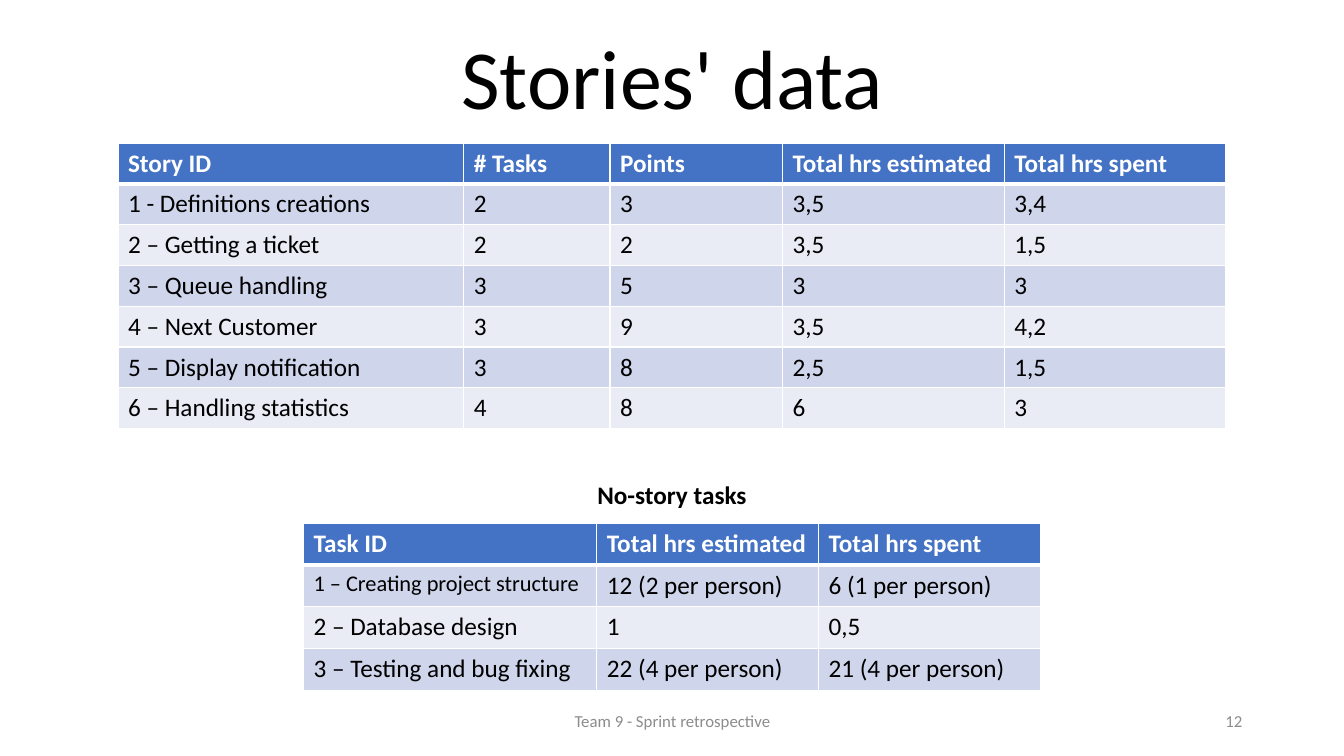
from lxml.etree import SubElement
from pptx import Presentation
from pptx.dml.color import RGBColor
from pptx.enum.text import MSO_ANCHOR, MSO_AUTO_SIZE, PP_ALIGN
from pptx.oxml.ns import qn
from pptx.util import Inches, Pt

BLACK = RGBColor(0x00, 0x00, 0x00)
WHITE = RGBColor(0xFF, 0xFF, 0xFF)
GRAY = RGBColor(0x8C, 0x8C, 0x8C)
BLUE = RGBColor(0x44, 0x72, 0xC4)
BANDS = (RGBColor(0xE9, 0xEB, 0xF5), RGBColor(0xCF, 0xD5, 0xEA))

WIDE, HIGH = Inches(13.33), Inches(7.5)
FACE = "Calibri"

HOURS = ("Total hrs estimated", "Total hrs spent")
STORIES = (
    ("Story ID", "# Tasks", "Points", *HOURS),
    ("1 - Definitions creations", "2", "3", "3,5", "3,4"),
    ("2 – Getting a ticket", "2", "2", "3,5", "1,5"),
    ("3 – Queue handling", "3", "5", "3", "3"),
    ("4 – Next Customer", "3", "9", "3,5", "4,2"),
    ("5 – Display notification", "3", "8", "2,5", "1,5"),
    ("6 – Handling statistics", "4", "8", "6", "3"),
)
TASKS = (
    ("Task ID", *HOURS),
    ("1 – Creating project structure", "12 (2 per person)", "6 (1 per person)"),
    ("2 – Database design", "1", "0,5"),
    ("3 – Testing and bug fixing", "22 (4 per person)", "21 (4 per person)"),
)


def place(box):
    """Turn a box in percent of the slide into lengths."""
    return [int(part * side / 100) for part, side in zip(box, (WIDE, HIGH) * 2)]


def style(para, size, color, bold=False):
    """Set the font of a paragraph."""
    font = para.font
    font.name, font.size, font.bold = FACE, Pt(size), bold
    font.color.rgb = color


def title(slide, box, text):
    """Fill and move the title placeholder."""
    shape = slide.shapes.title
    shape.left, shape.top, shape.width, shape.height = place(box)
    frame = shape.text_frame
    frame.text = text
    frame.word_wrap = True
    frame.auto_size = MSO_AUTO_SIZE.SHAPE_TO_FIT_TEXT
    frame.vertical_anchor = MSO_ANCHOR.TOP
    para = frame.paragraphs[0]
    para.alignment, para.line_spacing = PP_ALIGN.CENTER, 0.9
    style(para, 60, BLACK)


def label(slide, box, text, size, color, align=PP_ALIGN.CENTER, bold=False,
          anchor=MSO_ANCHOR.MIDDLE):
    """Add a single line of text."""
    frame = slide.shapes.add_textbox(*place(box)).text_frame
    frame.word_wrap = True
    frame.vertical_anchor = anchor
    frame.text = text
    para = frame.paragraphs[0]
    para.alignment = align
    style(para, size, color, bold)


def border(cell, row):
    """Draw white cell edges, thick below the header."""
    props = cell._tc.get_or_add_tcPr()
    for side in "LRTB":
        thick = (side, row) in (("B", 0), ("T", 1))
        line = SubElement(props, qn(f"a:ln{side}"), w=str(Pt(3 if thick else 1)))
        fill = SubElement(line, qn("a:solidFill"))
        SubElement(fill, qn("a:srgbClr"), val=str(WHITE))


def grid(slide, box, shares, data, small=()):
    """Add a banded table whose column shares are percent of the slide."""
    shape = slide.shapes.add_table(len(data), len(shares), *place(box))
    table = shape.table
    for column, share in zip(table.columns, shares):
        column.width = int(WIDE * share / 100)
    for row, texts in enumerate(data):
        head = row == 0
        for col, text in enumerate(texts):
            cell = table.cell(row, col)
            border(cell, row)
            cell.fill.solid()
            cell.fill.fore_color.rgb = BLUE if head else BANDS[row % 2]
            cell.text = text
            style(cell.text_frame.paragraphs[0],
                  16 if (row, col) in small else 18,
                  WHITE if head else BLACK, head)


def footer(slide, top, text, number):
    """Add the footer text and the slide number."""
    label(slide, (33.16, top, 33.76, 5.33), text, 12, GRAY)
    label(slide, (70.67, top, 22.5, 5.33), number, 12, GRAY, PP_ALIGN.RIGHT)


def build():
    """Build the slide and save it."""
    deck = Presentation()
    deck.slide_width, deck.slide_height = WIDE, HIGH
    slide = deck.slides.add_slide(deck.slide_layouts[5])
    grid(slide, (22.58, 69.2, 54.84, 22.13), (21.83, 16.5, 16.5), TASKS, {(1, 0)})
    grid(slide, (8.78, 18.93, 82.5, 37.8), (25.73, 10.88, 12.83, 16.5, 16.5), STORIES)
    label(slide, (22.58, 62.8, 54.84, 5.33), "No-story tasks", 18, BLACK,
          bold=True, anchor=MSO_ANCHOR.TOP)
    title(slide, (30.9, 4.27, 38.26, 13.47), "Stories' data")
    footer(slide, 92.67, "Team 9 - Sprint retrospective", "12")
    deck.save("out.pptx")


build()
